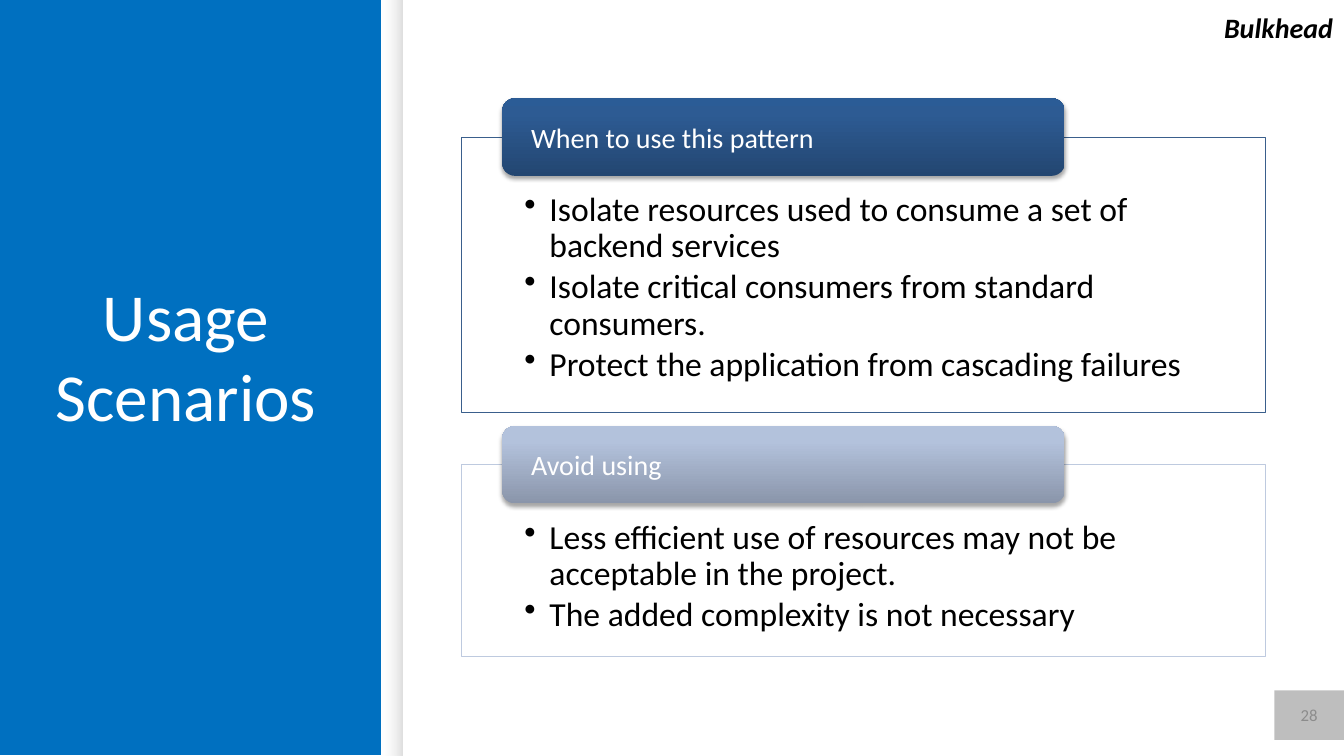
"""Build the Bulkhead usage scenarios slide."""
from lxml import etree
from pptx import Presentation
from pptx.dml.color import RGBColor
from pptx.enum.shapes import MSO_SHAPE
from pptx.enum.text import MSO_ANCHOR, PP_ALIGN
from pptx.oxml import parse_xml
from pptx.oxml.ns import nsdecls, qn
from pptx.util import Inches, Pt

RECT, ROUNDED = MSO_SHAPE.RECTANGLE, MSO_SHAPE.ROUNDED_RECTANGLE
LEFT, CENTER, RIGHT = PP_ALIGN.LEFT, PP_ALIGN.CENTER, PP_ALIGN.RIGHT
TOP, MIDDLE = MSO_ANCHOR.TOP, MSO_ANCHOR.MIDDLE


def add_block(kind, frame, stops, angle=0):
    """Add a borderless shape filled with (position, colour, opacity) stops."""
    block = page.shapes.add_shape(kind, *map(Inches, frame))
    block.shadow.inherit = False
    block.line.fill.background()
    colors = [f'<a:srgbClr val="{color}"><a:alpha val="{opacity * 1000}"/></a:srgbClr>'
              for _, color, opacity in stops]
    if len(stops) == 1:
        fill = f'<a:solidFill {nsdecls("a")}>{colors[0]}</a:solidFill>'
    else:
        marks = "".join(f'<a:gs pos="{stop[0] * 1000}">{color}</a:gs>'
                        for stop, color in zip(stops, colors))
        fill = (f'<a:gradFill {nsdecls("a")} rotWithShape="1"><a:gsLst>{marks}</a:gsLst>'
                f'<a:lin ang="{angle * 60000}" scaled="0"/></a:gradFill>')
    block.fill.background()
    properties = block._element.spPr
    properties.replace(properties.find(qn("a:noFill")), parse_xml(fill))
    return block


def write(box, lines, size, color, align=LEFT, anchor=TOP, insets=(0.1, 0.05, 0.1, 0.05), bullet=False):
    """Write one paragraph per line and return the paragraphs."""
    frame = box.text_frame
    frame.word_wrap = True
    frame.vertical_anchor = anchor
    frame.margin_left, frame.margin_top, frame.margin_right, frame.margin_bottom = map(Inches, insets)
    for number, line in enumerate(lines):
        para = frame.add_paragraph() if number else frame.paragraphs[0]
        para.alignment = align
        if bullet:
            settings = para._p.get_or_add_pPr()
            settings.set("marL", str(Inches(0.25)))
            settings.set("indent", str(-Inches(0.25)))
            etree.SubElement(settings, qn("a:buChar")).set("char", "•")
            para.line_spacing = 0.9
            para.space_after = Pt(3.5)
        span = para.add_run()
        span.text = line
        span.font.name = "Calibri"
        span.font.size = Pt(size)
        span.font.color.rgb = RGBColor.from_string(color)
    return frame.paragraphs


deck = Presentation()
deck.slide_width, deck.slide_height = Inches(13.33), Inches(7.5)
page = deck.slides.add_slide(deck.slide_layouts[6])

add_block(RECT, (0, 0, 3.78, 7.49), [(0, "0070C0", 100)])
add_block(RECT, (3.78, 0, 9.56, 7.52), [(0, "FFFFFF", 100)])
edge_shade = add_block(RECT, (0.02, 3.53, 7.52, 0.42),
                       [(0, "000000", 13), (48, "E3E3E3", 0), (66, "FFFFFF", 0)], 90)
edge_shade.rotation = 90

page_number = add_block(RECT, (12.64, 6.85, 0.69, 0.49), [(0, "7F7F7F", 50)])
write(page_number, ["28"], 12, "8C8C8C", CENTER, MIDDLE)

title = page.shapes.add_textbox(*map(Inches, (0.29, 2.67, 3.11, 2.14)))
write(title, ["Usage Scenarios"], 48, "FFFFFF", CENTER)

sections = [
    ("When to use this pattern", 1.36, 2.73, "3A5F8C", ("234671", "2D5B93", "2B5C96"),
     ["Isolate resources used to consume a set of backend services",
      "Isolate critical consumers from standard consumers.",
      "Protect the application from cascading failures"]),
    ("Avoid using", 4.61, 1.9, "BECADF", ("8A95AA", "B3C2DC", "B4C3DE"),
     ["Less efficient use of resources may not be acceptable in the project.",
      "The added complexity is not necessary"]),
]
for heading, top, height, border, shades, points in sections:
    panel = add_block(RECT, (4.58, top, 7.97, height), [(0, "FFFFFF", 90)])
    panel.line.color.rgb = RGBColor.from_string(border)
    panel.line.width = Pt(0.75)
    write(panel, points, 24, "000000", insets=(0.62, 0.55, 0.62, 0.19), bullet=True)

    header = add_block(ROUNDED, (4.98, top - 0.385, 5.58, 0.77),
                       [(place, shade, 100) for place, shade in zip((0, 80, 100), shades)], 270)
    effects = header._element.spPr.find(qn("a:effectLst"))
    effects.append(parse_xml(
        f'<a:outerShdw {nsdecls("a")} blurRad="{Pt(3.1)}" dist="{Pt(1.8)}" dir="5400000" rotWithShape="0">'
        '<a:srgbClr val="000000"><a:alpha val="35000"/></a:srgbClr></a:outerShdw>'))
    write(header, [heading], 20, "FFFFFF", anchor=MIDDLE, insets=(0.25, 0, 0.25, 0))

topic = page.shapes.add_textbox(*map(Inches, (10.34, 0.06, 2.98, 0.44)))
for para in write(topic, ["Bulkhead"], 20, "000000", RIGHT):
    for span in para.runs:
        span.font.bold = span.font.italic = True

deck.save("out.pptx")
